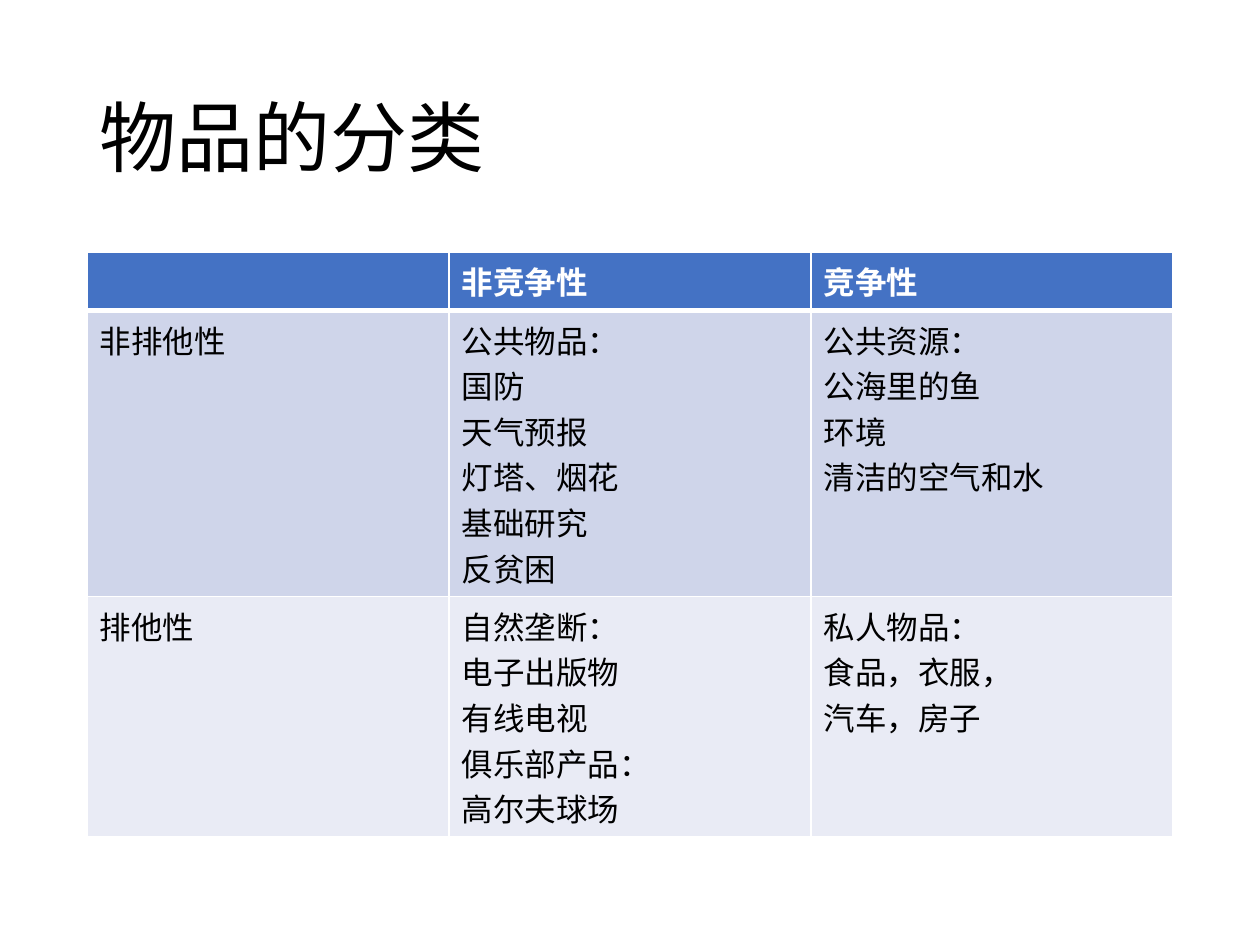
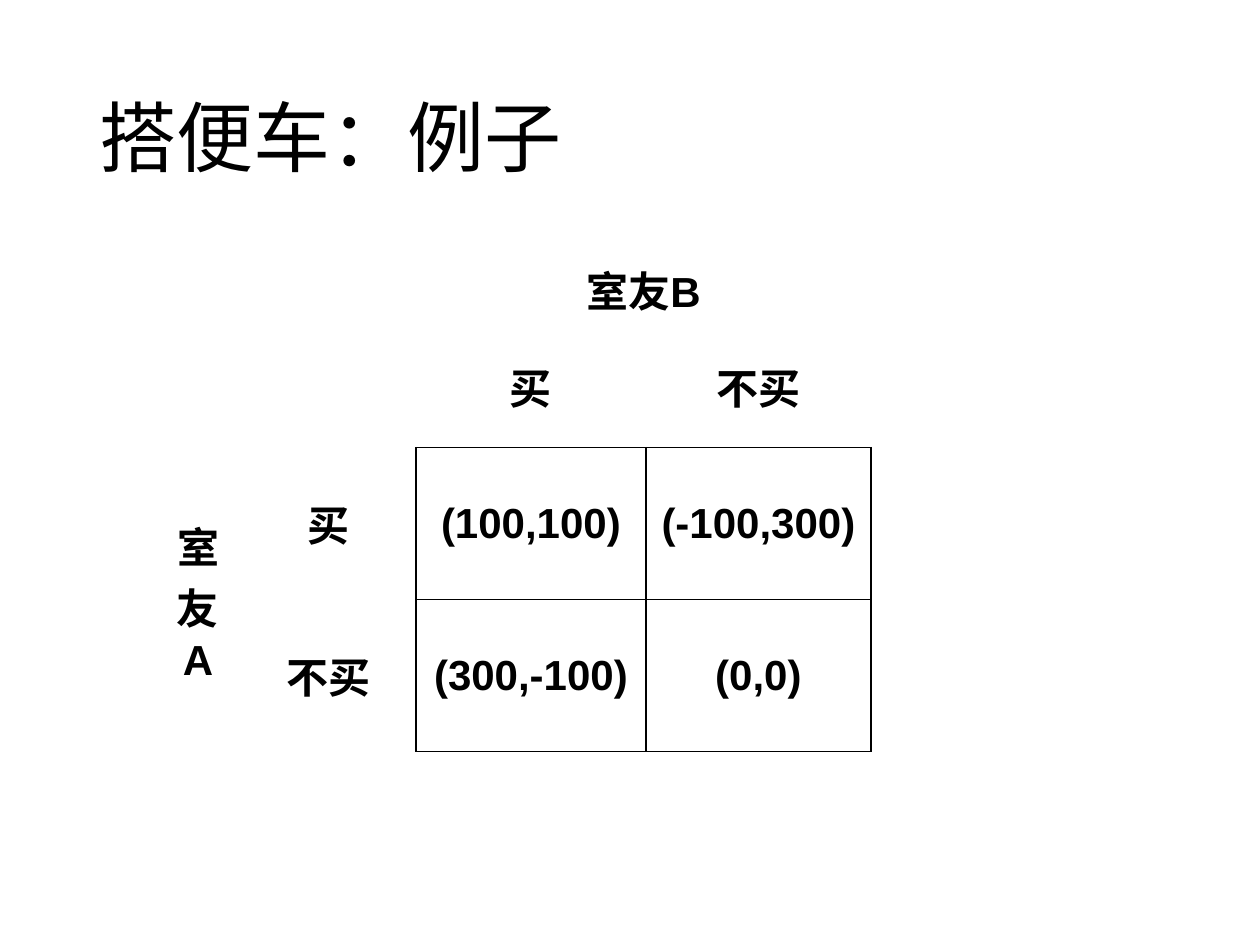
from dataclasses import dataclass
from itertools import product
from lxml.etree import SubElement
from pptx import Presentation
from pptx.dml.color import RGBColor
from pptx.enum.lang import MSO_LANGUAGE_ID
from pptx.enum.text import MSO_ANCHOR, PP_ALIGN
from pptx.oxml.ns import qn
from pptx.util import Emu, Pt

TITLE_ONLY_LAYOUT = 5
PLAIN_TABLE_STYLE = "{2D5ABB26-0587-4C30-8999-92F81FD0307C}"
SIDES = ("L", "R", "T", "B")


@dataclass(frozen=True)
class Theme:
    text: str = "000000"
    white: str = "FFFFFF"
    header: str = "4472C4"
    bands: tuple = ("CFD5EA", "E9EBF5")
    body_font: str = "Calibri"
    matrix_font: str = "Arial"
    title_size: int = 44
    body_size: int = 18
    matrix_size: int = 24
    thin: int = 1
    thick: int = 3


@dataclass(frozen=True)
class Box:
    left: int
    top: int
    width: int
    height: int

    def emu(self):
        return [px(value) for value in (self.left, self.top, self.width, self.height)]


THEME = Theme()
SLIDE_BOX = Box(0, 0, 1260, 945)
TITLE_BOX = Box(87, 50, 1086, 183)
GOODS_BOX = Box(87, 252, 1086, 493)
MATRIX_BOX = Box(155, 252, 716, 489)

GOODS = (
    ("", "非竞争性", "竞争性"),
    ("非排他性", "公共物品：\n国防\n天气预报\n灯塔、烟花\n基础研究\n反贫困",
     "公共资源：\n公海里的鱼\n环境\n清洁的空气和水"),
    ("排他性", "自然垄断：\n电子出版物\n有线电视\n俱乐部产品：\n高尔夫球场",
     "私人物品：\n食品，衣服，\n汽车，房子"),
)
CHOICES = ("买", "不买")
PAYOFFS = (("(100,100)", "(-100,300)"), ("(300,-100)", "(0,0)"))


def px(value):
    return Emu(round(value * 914400 / 126))


def format_text(text_frame, font_name, size, color, bold=False, align=PP_ALIGN.LEFT):
    for paragraph in text_frame.paragraphs:
        paragraph.alignment = align
        for run in paragraph.runs:
            font = run.font
            font.name, font.size, font.bold = font_name, Pt(size), bold
            font.color.rgb = RGBColor.from_string(color)
            font.language_id = MSO_LANGUAGE_ID.SIMPLIFIED_CHINESE


def add_titled_slide(presentation, text):
    slide = presentation.slides.add_slide(presentation.slide_layouts[TITLE_ONLY_LAYOUT])
    title = slide.shapes.title
    title.left, title.top, title.width, title.height = TITLE_BOX.emu()
    title.text_frame.text = text
    title.text_frame.vertical_anchor = MSO_ANCHOR.MIDDLE
    title.text_frame.paragraphs[0].line_spacing = 0.9
    format_text(title.text_frame, THEME.body_font, THEME.title_size, THEME.text)
    return slide


def add_plain_table(slide, box, column_widths, row_heights):
    frame = slide.shapes.add_table(len(row_heights), len(column_widths), *box.emu())
    table = frame.table
    table.first_row = table.horz_banding = False
    table._tbl.tblPr.find(qn("a:tableStyleId")).text = PLAIN_TABLE_STYLE
    for column, width in zip(table.columns, column_widths):
        column.width = px(width)
    for row, height in zip(table.rows, row_heights):
        row.height = px(height)
    frame.height = px(box.height)
    return table


def set_borders(cell, color, widths):
    properties = cell._tc.get_or_add_tcPr()
    sides = [side for side in SIDES if side in widths]
    for position, side in enumerate(sides):
        line = SubElement(properties, qn(f"a:ln{side}"), w=str(Pt(widths[side])))
        fill = SubElement(line, qn("a:solidFill"))
        SubElement(fill, qn("a:srgbClr"), val=color)
        properties.insert(position, line)


def add_goods_table(slide, box):
    table = add_plain_table(slide, box, [box.width // 3] * 3, [52] * 3)
    for row, column in product(range(3), repeat=2):
        cell = table.cell(row, column)
        is_header = row == 0
        fill = THEME.header if is_header else THEME.bands[row - 1]
        cell.fill.solid()
        cell.fill.fore_color.rgb = RGBColor.from_string(fill)
        cell.text_frame.text = GOODS[row][column]
        format_text(cell.text_frame, THEME.body_font, THEME.body_size,
                    THEME.white if is_header else THEME.text, bold=is_header)
        widths = dict.fromkeys(SIDES, THEME.thin)
        if is_header:
            widths["B"] = THEME.thick
        elif row == 1:
            widths["T"] = THEME.thick
        set_borders(cell, THEME.white, widths)


def add_payoff_matrix(slide, box):
    table = add_plain_table(slide, box, (86, 175, 230, 225), (30, 122, 152, 152))
    table.cell(0, 2).merge(table.cell(0, 3))
    table.cell(2, 0).merge(table.cell(3, 0))
    texts = {(0, 2): "室友B", (2, 0): "室友A"}
    for index, choice in enumerate(CHOICES, start=2):
        texts[1, index] = texts[index, 1] = choice
    for row, column in product(range(2), repeat=2):
        texts[row + 2, column + 2] = PAYOFFS[row][column]
    for (row, column), text in texts.items():
        cell = table.cell(row, column)
        cell.text_frame.text = text
        cell.vertical_anchor = MSO_ANCHOR.MIDDLE
        format_text(cell.text_frame, THEME.matrix_font, THEME.matrix_size,
                    THEME.text, bold=True, align=PP_ALIGN.CENTER)
        if row >= 2 and column >= 2:
            sides = SIDES
        elif row == 1:
            sides = ("B",)
        elif column == 1:
            sides = ("R",)
        else:
            sides = ()
        set_borders(cell, THEME.text, dict.fromkeys(sides, THEME.thin))


def main():
    presentation = Presentation()
    presentation.slide_width = px(SLIDE_BOX.width)
    presentation.slide_height = px(SLIDE_BOX.height)
    add_goods_table(add_titled_slide(presentation, "物品的分类"), GOODS_BOX)
    add_payoff_matrix(add_titled_slide(presentation, "搭便车：例子"), MATRIX_BOX)
    presentation.save("out.pptx")


if __name__ == "__main__":
    main()
